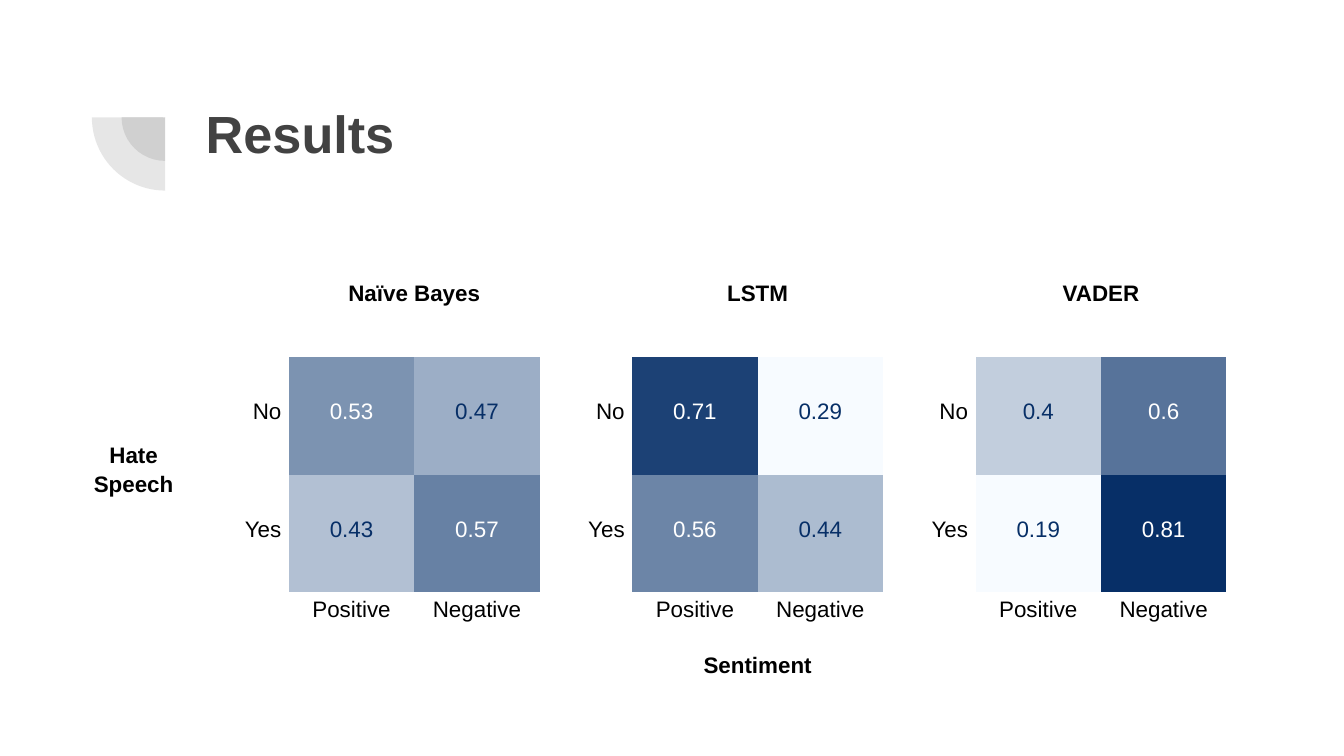
"""Build a results slide comparing three classifiers as heat-map matrices."""
from lxml.etree import SubElement
from pptx import Presentation
from pptx.dml.color import RGBColor
from pptx.enum.shapes import MSO_SHAPE
from pptx.enum.text import MSO_ANCHOR, PP_ALIGN
from pptx.oxml.ns import qn
from pptx.util import Pt

COLORS = {"title": "424242", "text": "000000", "light": "FFFFFF",
          "low": "F7FBFF", "high": "072F67"}
NO_GRID = "{2D5ABB26-0587-4C30-8999-92F81FD0307C}"
SCALE_MIN, SCALE_MAX = 0.3, 0.75
CELL_WIDTH, LABEL_WIDTH = 67.2, 49.6
ROW_HEIGHTS = [63, 63, 63, 29.5, 63]
RESULTS = {
    "Naïve Bayes": [[0.53, 0.47], [0.43, 0.57]],
    "LSTM": [[0.71, 0.29], [0.56, 0.44]],
    "VADER": [[0.4, 0.6], [0.19, 0.81]],
}


def heat(value):
    share = min(max((value - SCALE_MIN) / (SCALE_MAX - SCALE_MIN), 0), 1)
    low, high = (RGBColor.from_string(COLORS[name]) for name in ("low", "high"))
    return RGBColor(*(round(a + (b - a) * share) for a, b in zip(low, high)))


class SlideBuilder:
    def __init__(self, slide, font="Arial"):
        self.slide = slide
        self.font = font

    def style(self, paragraph, size, color, bold):
        for run in paragraph.runs:
            run.font.name = self.font
            run.font.size = Pt(size)
            run.font.bold = bold
            run.font.color.rgb = RGBColor.from_string(COLORS[color])

    def title(self, text, left, top, width, height):
        heading = self.slide.shapes.title
        heading.left, heading.top = Pt(left), Pt(top)
        heading.width, heading.height = Pt(width), Pt(height)
        frame = heading.text_frame
        frame.text = text
        frame.vertical_anchor = MSO_ANCHOR.TOP
        frame.margin_left = frame.margin_right = Pt(7.2)
        frame.margin_top = frame.margin_bottom = Pt(7.2)
        frame.paragraphs[0].alignment = PP_ALIGN.LEFT
        self.style(frame.paragraphs[0], 28, "title", True)

    def quarter(self, center_x, center_y, diameter):
        pie = self.slide.shapes.add_shape(
            MSO_SHAPE.PIE, Pt(center_x - diameter / 2), Pt(center_y - diameter / 2),
            Pt(diameter), Pt(diameter))
        pie.rotation = 270
        pie.adjustments[0], pie.adjustments[1] = 108, 162
        pie.shadow.inherit = False
        pie.line.fill.background()
        pie.fill.solid()
        pie.fill.fore_color.rgb = RGBColor.from_string(COLORS["title"])
        tint = pie.fill._xPr.find(qn("a:solidFill"))[0]
        SubElement(tint, qn("a:alpha"), val="13000")

    def table(self, left, top, widths, heights):
        frame = self.slide.shapes.add_table(
            len(heights), len(widths), Pt(left), Pt(top),
            Pt(sum(widths)), Pt(sum(heights)))
        grid = frame.table
        grid.first_row = grid.horz_banding = False
        grid._tbl.tblPr.find(qn("a:tableStyleId")).text = NO_GRID
        for column, width in zip(grid.columns, widths):
            column.width = Pt(width)
        for row, height in zip(grid.rows, heights):
            row.height = Pt(height)
        for cell in grid.iter_cells():
            cell.margin_left = cell.margin_right = cell.margin_top = Pt(0.72)
            cell.margin_bottom = Pt(7.2)
        return grid

    def label(self, cell, text, align=PP_ALIGN.CENTER, anchor=MSO_ANCHOR.MIDDLE,
              color="text", bold=False):
        cell.text_frame.text = text
        cell.vertical_anchor = anchor
        paragraph = cell.text_frame.paragraphs[0]
        paragraph.alignment = align
        paragraph.line_spacing = 1.15
        self.style(paragraph, 12, color, bold)

    def score(self, cell, value):
        self.label(cell, str(value), color="light" if value > 0.5 else "high")
        cell.fill.solid()
        cell.fill.fore_color.rgb = heat(value)

    def matrix(self, grid, first, model, scores):
        grid.cell(0, first + 1).merge(grid.cell(0, first + 2))
        self.label(grid.cell(0, first + 1), model, bold=True)
        for row, (answer, values) in enumerate(zip(("No ", "Yes "), scores), 1):
            self.label(grid.cell(row, first), answer, PP_ALIGN.RIGHT)
            for column, value in enumerate(values, first + 1):
                self.score(grid.cell(row, column), value)
        for column, sentiment in enumerate(("Positive", "Negative"), first + 1):
            self.label(grid.cell(3, column), sentiment, anchor=MSO_ANCHOR.TOP)


def main():
    deck = Presentation()
    deck.slide_width, deck.slide_height = Pt(720), Pt(405)
    builder = SlideBuilder(deck.slides.add_slide(deck.slide_layouts[5]))
    for diameter in (46.8, 78.6):
        builder.quarter(88.5, 62.8, diameter)
    builder.title("Results", 103, 46.8, 553.7, 78.5)

    widths = [CELL_WIDTH] + [LABEL_WIDTH, CELL_WIDTH, CELL_WIDTH] * len(RESULTS)
    grid = builder.table(38, 128.3, widths, ROW_HEIGHTS)
    for index, (model, scores) in enumerate(RESULTS.items()):
        builder.matrix(grid, 1 + 3 * index, model, scores)
    grid.cell(1, 0).merge(grid.cell(2, 0))
    builder.label(grid.cell(1, 0), "Hate Speech", bold=True)
    grid.cell(4, 2).merge(grid.cell(4, 9))
    builder.label(grid.cell(4, 2), "Sentiment", anchor=MSO_ANCHOR.TOP, bold=True)
    deck.save("out.pptx")


if __name__ == "__main__":
    main()
